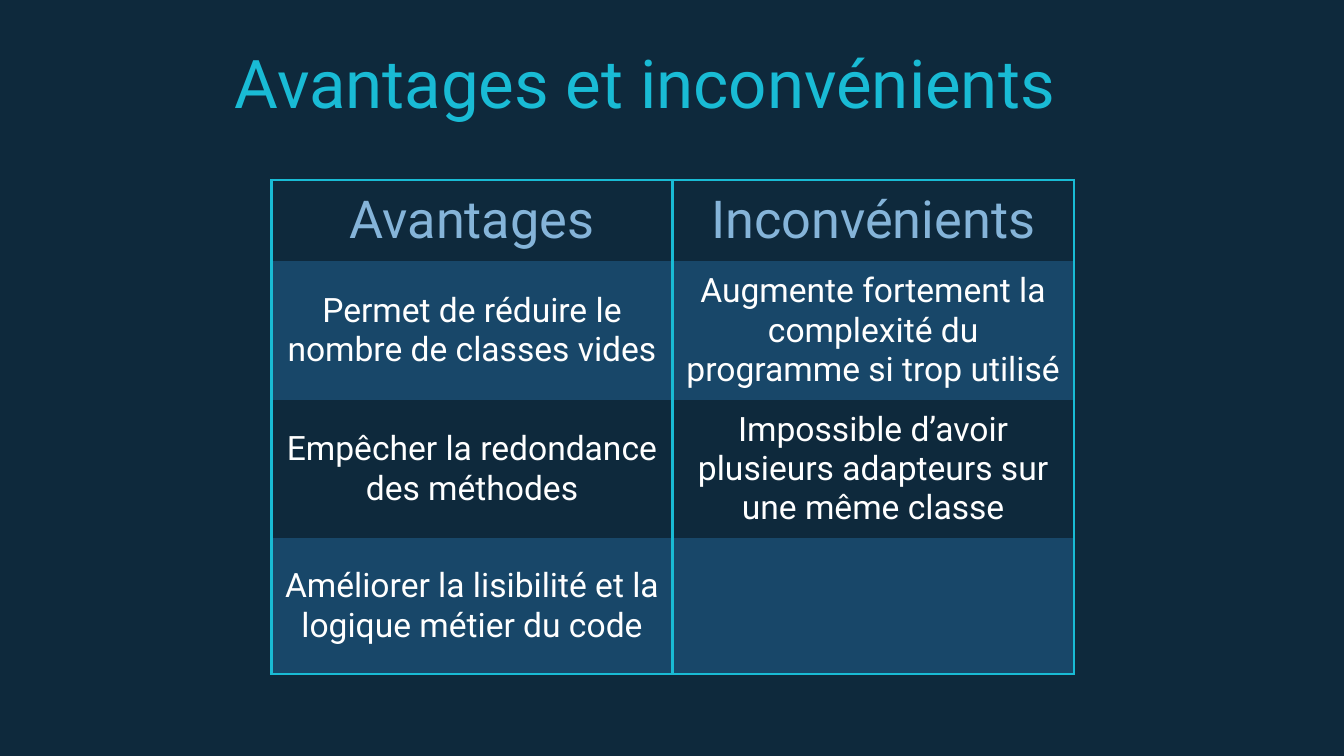
from pptx import Presentation
from pptx.dml.color import RGBColor
from pptx.enum.text import MSO_ANCHOR, PP_ALIGN
from pptx.oxml.ns import qn
from pptx.util import Inches, Pt
from lxml.etree import SubElement

NAVY, BLUE, CYAN = "0E293C", "184769", "19BBD5"
PALE_BLUE, WHITE = "85B4D9", "FFFFFF"

ARGUMENTS = [
    ("Avantages", "Inconvénients"),
    ("Permet de réduire le nombre de classes vides",
     "Augmente fortement la complexité du programme si trop utilisé"),
    ("Empêcher la redondance des méthodes",
     "Impossible d’avoir plusieurs adapteurs sur une même classe"),
    ("Améliorer la lisibilité et la logique métier du code", ""),
]


def rgb(color):
    return RGBColor.from_string(color)


def write(frame, text, size, color, align=PP_ALIGN.LEFT):
    frame.word_wrap = True
    paragraph = frame.paragraphs[0]
    paragraph.alignment = align
    paragraph.font.size = Pt(size)
    if text:
        run = paragraph.add_run()
        run.text = text
        run.font.name = "Roboto"
        run.font.size = Pt(size)
        run.font.color.rgb = rgb(color)


def set_borders(cell, visible):
    properties = cell._tc.get_or_add_tcPr()
    for position, side in enumerate("LRTB"):
        line = SubElement(properties, qn(f"a:ln{side}"), w=str(Pt(1.5)))
        properties.remove(line)
        properties.insert(position, line)
        if side in visible:
            solid = SubElement(line, qn("a:solidFill"))
            SubElement(solid, qn("a:srgbClr"), val=CYAN)
        else:
            SubElement(line, qn("a:noFill"))


def add_title(slide, text):
    title = slide.shapes.add_textbox(Inches(1.65), Inches(0.21), Inches(7.82), Inches(0.71))
    frame = title.text_frame
    frame.margin_top = frame.margin_bottom = Inches(0.1)
    write(frame, text, size=36, color=CYAN)


def add_comparison(slide, rows):
    table = slide.shapes.add_table(
        len(rows), 2, Inches(2.02), Inches(1.34), Inches(5.97), Inches(3.62)).table
    table.first_row = table.horz_banding = False
    last = len(rows) - 1
    for index, texts in enumerate(rows):
        table.rows[index].height = Inches(1.01 if index else 0.59)
        sides = "LR" + ("T" if index == 0 else "") + ("B" if index == last else "")
        for cell, text in zip(table.rows[index].cells, texts):
            cell.vertical_anchor = MSO_ANCHOR.MIDDLE
            cell.margin_left = cell.margin_right = Inches(0.1)
            cell.margin_top = cell.margin_bottom = Inches(0.15) // 2
            if index % 2:
                cell.fill.solid()
                cell.fill.fore_color.rgb = rgb(BLUE)
            else:
                cell.fill.background()
            set_borders(cell, sides)
            write(cell.text_frame, text, size=18 if index else 28,
                  color=WHITE if index else PALE_BLUE, align=PP_ALIGN.CENTER)


def main():
    presentation = Presentation()
    presentation.slide_width = Inches(10)
    presentation.slide_height = Inches(10) * 9 // 16
    slide = presentation.slides.add_slide(presentation.slide_layouts[6])
    slide.background.fill.solid()
    slide.background.fill.fore_color.rgb = rgb(NAVY)
    add_comparison(slide, ARGUMENTS)
    add_title(slide, "Avantages et inconvénients")
    presentation.save("out.pptx")


if __name__ == "__main__":
    main()
